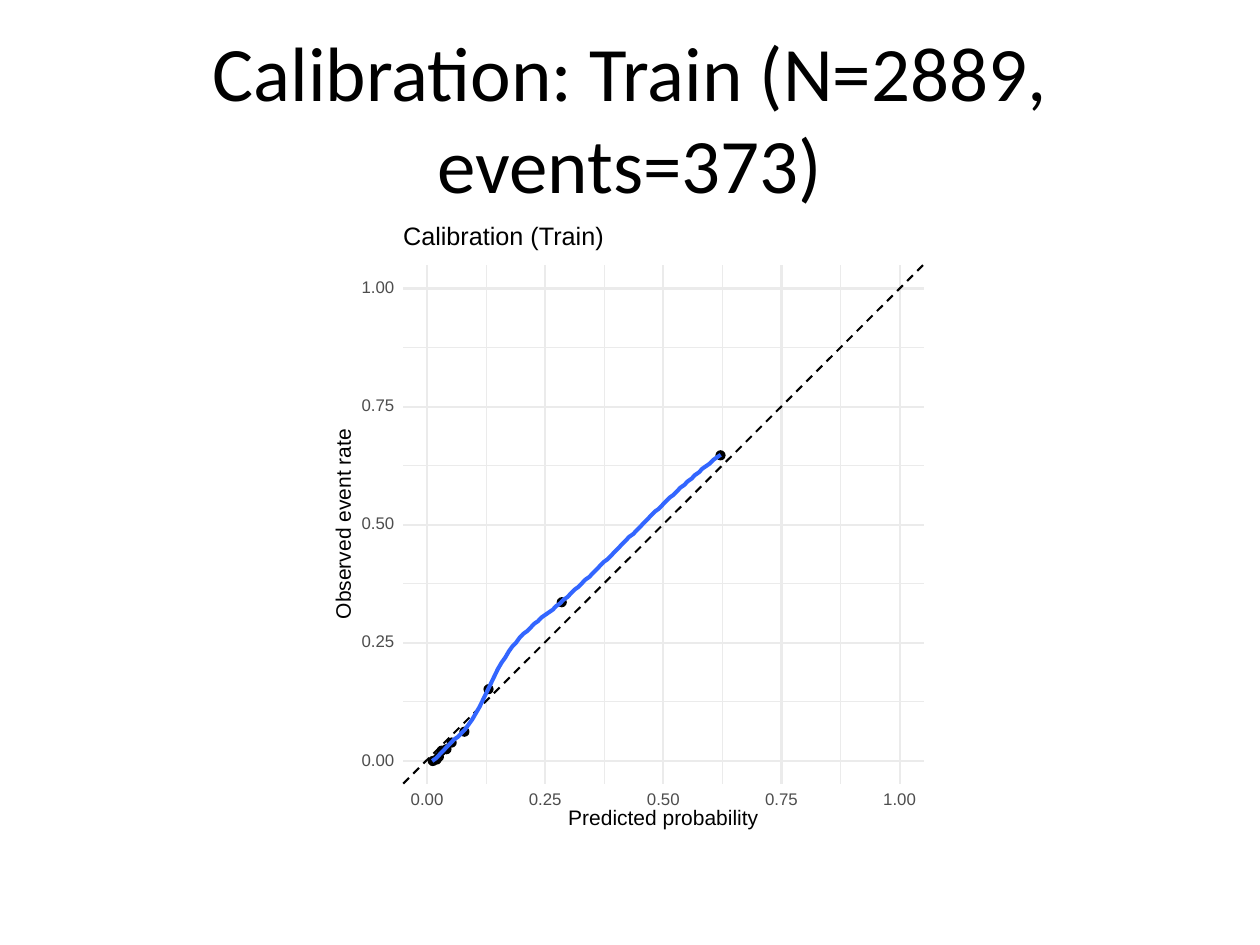
from pptx import Presentation
from pptx.dml.color import RGBColor
from pptx.enum.dml import MSO_LINE
from pptx.enum.shapes import MSO_CONNECTOR, MSO_SHAPE
from pptx.enum.text import MSO_ANCHOR, PP_ALIGN
from pptx.oxml.ns import qn
from pptx.util import Inches, Pt
from lxml.etree import SubElement

TITLE = "Calibration: Train (N=2889, events=373)"
PLOT_TITLE = "Calibration (Train)"
X_TITLE = "Predicted probability"
Y_TITLE = "Observed event rate"
TICKS = [0, 0.25, 0.5, 0.75, 1]
BINS = [(1.2, 0), (2, 0.3), (2.5, 0.9), (3.1, 2.2), (4.1, 2.5),
        (5.2, 3.9), (7.9, 6.2), (13, 15.2), (28.5, 33.6), (62.1, 64.7)]
CURVE_X = (3.43, 5.72)
CURVE_Y = [
    6.04, 6.02, 5.99, 5.96, 5.93, 5.9, 5.87, 5.85, 5.82, 5.79,
    5.75, 5.71, 5.66, 5.61, 5.55, 5.49, 5.43, 5.37, 5.31, 5.26,
    5.22, 5.17, 5.13, 5.1, 5.06, 5.03, 5.01, 4.98, 4.95, 4.93,
    4.9, 4.88, 4.86, 4.84, 4.81, 4.79, 4.76, 4.74, 4.71, 4.68,
    4.66, 4.63, 4.6, 4.58, 4.55, 4.52, 4.49, 4.46, 4.44, 4.41,
    4.38, 4.35, 4.32, 4.29, 4.26, 4.24, 4.21, 4.18, 4.15, 4.12,
    4.09, 4.06, 4.04, 4.01, 3.98, 3.95, 3.93, 3.9, 3.87, 3.85,
    3.82, 3.8, 3.77, 3.75, 3.72, 3.7, 3.68, 3.65, 3.63, 3.61]

COLORS = {"paper": "FFFFFF", "grid": "EBEBEB", "ink": "000000",
          "tick": "4D4D4D", "curve": "3366FF"}
LEFT, TOP, RIGHT, BOTTOM = 3.2, 2.1, 7.33, 6.22
ORIGIN_X, ORIGIN_Y, UNIT = 3.39, 6.04, 3.75
DOT = 0.07


def rgb(name):
    return RGBColor.from_string(COLORS[name])


def px(v):
    return ORIGIN_X + v * UNIT


def py(v):
    return ORIGIN_Y - v * UNIT


def add_line(x1, y1, x2, y2, color, width):
    c = s.shapes.add_connector(MSO_CONNECTOR.STRAIGHT, Inches(x1), Inches(y1),
                               Inches(x2), Inches(y2))
    c.line.color.rgb = rgb(color)
    c.line.width = Pt(width)
    SubElement(c._element.spPr, qn("a:effectLst"))
    return c


def add_filled(kind, x, y, w, h, color, width=0):
    sp = s.shapes.add_shape(kind, Inches(x), Inches(y), Inches(w), Inches(h))
    sp.shadow.inherit = False
    sp.fill.solid()
    sp.fill.fore_color.rgb = rgb(color)
    if width:
        sp.line.color.rgb = rgb(color)
        sp.line.width = Pt(width)
    else:
        sp.line.fill.background()


def add_label(text, x, y, w, h, size, color="ink", rotation=0):
    sp = s.shapes.add_textbox(Inches(x), Inches(y), Inches(w), Inches(h))
    sp.rotation = rotation
    tf = sp.text_frame
    tf.margin_left = tf.margin_right = tf.margin_top = tf.margin_bottom = 0
    tf.word_wrap = False
    tf.vertical_anchor = MSO_ANCHOR.MIDDLE
    p = tf.paragraphs[0]
    p.alignment = PP_ALIGN.LEFT
    p.line_spacing = Pt(size)
    r = p.add_run()
    r.text = text
    r.font.name = "Arial"
    r.font.size = Pt(size)
    r.font.color.rgb = rgb(color)


def add_grid(values, width):
    for v in values:
        add_line(LEFT, py(v), RIGHT, py(v), "grid", width)
    for v in values:
        add_line(px(v), BOTTOM, px(v), TOP, "grid", width)


def add_curve():
    start, end = CURVE_X
    step = (end - start) / (len(CURVE_Y) - 1)
    points = [(Inches(start + i * step), Inches(y)) for i, y in enumerate(CURVE_Y)]
    fb = s.shapes.build_freeform(*points[0])
    fb.add_line_segments(points[1:], close=False)
    sp = fb.convert_to_shape()
    sp.shadow.inherit = False
    sp.fill.background()
    sp.line.color.rgb = rgb("curve")
    sp.line.width = Pt(2.33)


prs = Presentation()
prs.slide_width, prs.slide_height = Inches(10), Inches(7.5)
s = prs.slides.add_slide(prs.slide_layouts[5])

title = s.shapes.title
title.left, title.top = Inches(0.5), Inches(0.3)
title.width, title.height = Inches(9), Inches(1.25)
tf = title.text_frame
tf.word_wrap = True
tf.vertical_anchor = MSO_ANCHOR.MIDDLE
p = tf.paragraphs[0]
p.alignment = PP_ALIGN.CENTER
r = p.add_run()
r.text = TITLE
r.font.name = "Calibri"
r.font.size = Pt(44)
r.font.color.rgb = rgb("ink")

add_filled(MSO_SHAPE.RECTANGLE, 0.5, 1.75, 9, 4.95, "paper", 0.75)
add_filled(MSO_SHAPE.RECTANGLE, 2.59, 1.75, 4.82, 4.95, "paper")

add_grid([(a + b) / 2 for a, b in zip(TICKS, TICKS[1:])], 0.58)
add_grid(TICKS, 1.16)
diagonal = add_line(LEFT, BOTTOM, RIGHT, TOP, "ink", 1.16)
diagonal.line.dash_style = MSO_LINE.DASH

for predicted, observed in BINS:
    add_filled(MSO_SHAPE.OVAL, px(predicted / 100) - DOT / 2,
               py(observed / 100) - DOT / 2, DOT, DOT, "ink", 0.77)
add_curve()

for v in TICKS:
    add_label(f"{v:.2f}", 2.87, py(v) - 0.05, 0.26, 0.1, 9.6, "tick")
for v in TICKS:
    add_label(f"{v:.2f}", px(v) - 0.13, 6.3, 0.26, 0.1, 9.6, "tick")
add_label(X_TITLE, 4.51, 6.43, 1.51, 0.15, 12)
add_label(Y_TITLE, 1.98, 4.1, 1.51, 0.12, 12, rotation=270)
add_label(PLOT_TITLE, LEFT, 1.79, 1.6, 0.19, 14.4)

prs.save("out.pptx")
